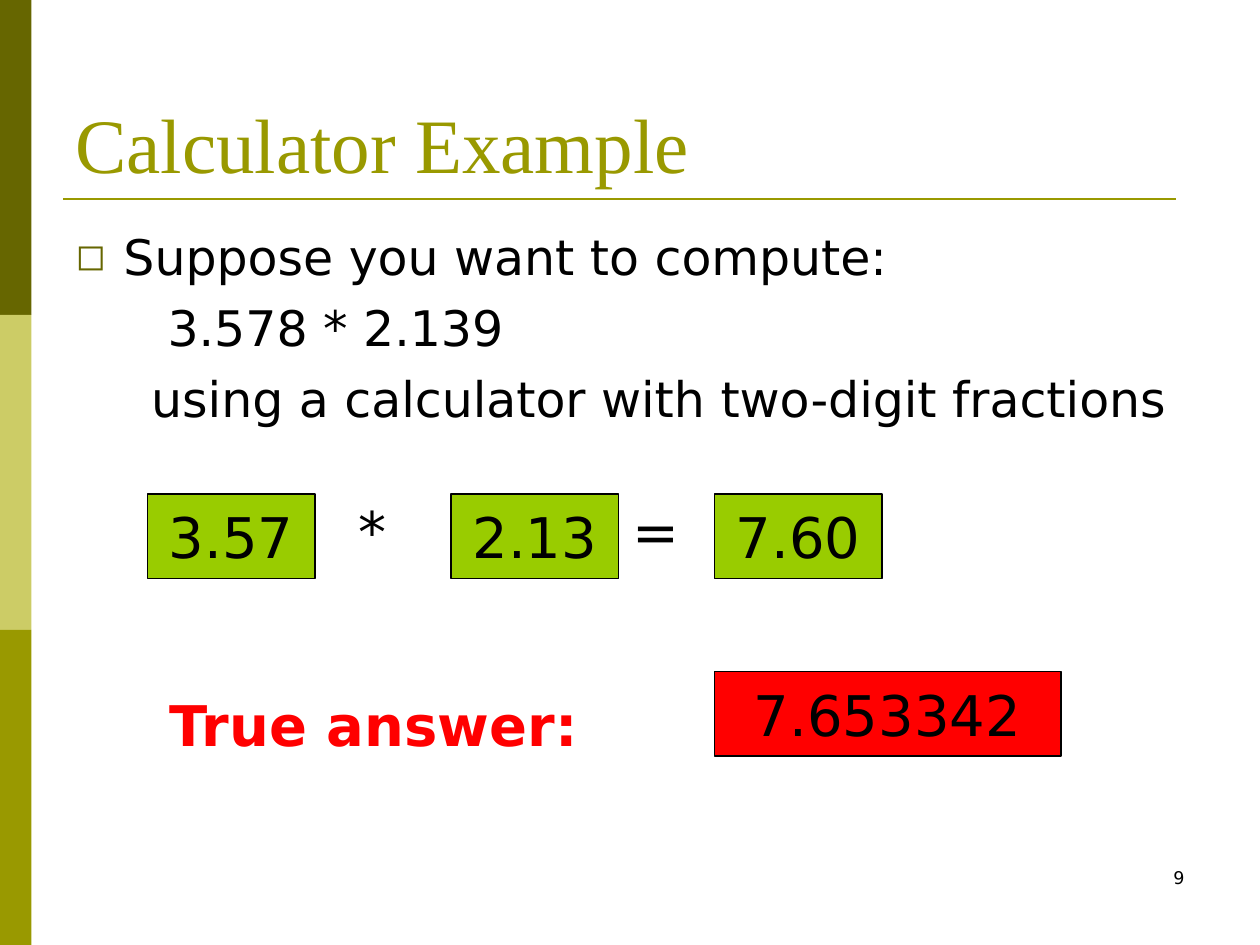
"""Build the calculator example slide on rounding with two-digit fractions."""
from dataclasses import dataclass
from typing import Optional

from lxml.etree import SubElement
from pptx import Presentation
from pptx.dml.color import RGBColor
from pptx.enum.shapes import MSO_CONNECTOR as Connector, MSO_SHAPE as Preset
from pptx.enum.text import MSO_ANCHOR as Anchor, MSO_AUTO_SIZE as AutoSize, PP_ALIGN as Align
from pptx.oxml.ns import qn
from pptx.util import Inches, Pt

DARK_OLIVE = RGBColor(0x66, 0x66, 0x00)
PALE_OLIVE = RGBColor(0xCC, 0xCC, 0x66)
OLIVE = RGBColor(0x99, 0x99, 0x00)
GREEN = RGBColor(0x99, 0xCC, 0x00)
RED = RGBColor(0xFF, 0x00, 0x00)
BLACK = RGBColor(0x00, 0x00, 0x00)
SANS = "DejaVu Sans"
SERIF = "Times New Roman"


@dataclass
class Term:
    text: str
    left: float
    top: float
    width: float
    height: float = 0.67
    fill: Optional[RGBColor] = GREEN
    preset: Preset = Preset.RECTANGLE


@dataclass
class BodyLine:
    text: str
    margin: float
    bulleted: bool = False


def set_font(paragraph, size: float, color: RGBColor, name: str = SANS, bold: bool = False) -> None:
    font = paragraph.font
    font.size, font.name, font.bold = Pt(size), name, bold
    font.color.rgb = color


def set_bullet(paragraph, line: BodyLine) -> None:
    properties = paragraph._p.get_or_add_pPr()
    properties.set("marL", str(Inches(line.margin)))
    properties.set("indent", str(Inches(-0.38 if line.bulleted else 0)))
    if not line.bulleted:
        SubElement(properties, qn("a:buNone"))
        return
    color = SubElement(properties, qn("a:buClr"))
    SubElement(color, qn("a:srgbClr"), val=str(DARK_OLIVE))
    SubElement(properties, qn("a:buSzPct"), val="75000")
    SubElement(properties, qn("a:buFont"), typeface=SANS)
    SubElement(properties, qn("a:buChar"), char="◻")


def place(shape, left: float, top: float, width: float, height: float) -> None:
    shape.left, shape.top = Inches(left), Inches(top)
    shape.width, shape.height = Inches(width), Inches(height)


def add_band(slide, top: float, height: float, color: RGBColor) -> None:
    band = slide.shapes.add_shape(Preset.RECTANGLE, 0, Inches(top), Inches(0.25), Inches(height))
    band.shadow.inherit = False
    band.fill.solid()
    band.fill.fore_color.rgb = color
    band.line.fill.background()


def add_rule(slide) -> None:
    rule = slide.shapes.add_connector(
        Connector.STRAIGHT, Inches(0.5), Inches(1.58), Inches(9.33), Inches(1.58))
    rule.line.color.rgb = OLIVE
    rule.line.width = Pt(1.5)
    SubElement(rule._element.spPr, qn("a:effectLst"))


def fill_title(title) -> None:
    place(title, 0.5, 0.3, 9, 1.25)
    frame = title.text_frame
    frame.text = "Calculator Example"
    frame.auto_size = AutoSize.NONE
    frame.vertical_anchor = Anchor.BOTTOM
    heading = frame.paragraphs[0]
    heading.alignment = Align.LEFT
    set_font(heading, 44, OLIVE, SERIF)


def fill_body(body, lines: list[BodyLine]) -> None:
    place(body, 0.5, 1.75, 9, 2)
    frame = body.text_frame
    frame.text = "\n".join(line.text for line in lines)
    frame.auto_size = AutoSize.NONE
    for paragraph, line in zip(frame.paragraphs, lines):
        paragraph.space_before = Pt(7)
        set_bullet(paragraph, line)
        set_font(paragraph, 28, BLACK)


def add_term(slide, term: Term) -> None:
    shape = slide.shapes.add_shape(
        term.preset, Inches(term.left), Inches(term.top), Inches(term.width), Inches(term.height))
    shape.shadow.inherit = False
    if term.fill is None:
        shape.fill.background()
        shape.line.fill.background()
    else:
        shape.fill.solid()
        shape.fill.fore_color.rgb = term.fill
        shape.line.color.rgb = BLACK
        shape.line.width = Pt(0.75)
    frame = shape.text_frame
    frame.text = term.text
    frame.word_wrap = False
    frame.vertical_anchor = Anchor.MIDDLE
    value = frame.paragraphs[0]
    value.alignment = Align.CENTER
    set_font(value, 32, BLACK)


def add_label(slide, text: str, left: float, top: float, width: float, height: float):
    label = slide.shapes.add_textbox(Inches(left), Inches(top), Inches(width), Inches(height))
    label.text_frame.word_wrap = True
    label.text_frame.text = text
    return label.text_frame.paragraphs[0]


def main() -> None:
    deck = Presentation()
    deck.slide_width, deck.slide_height = Inches(10), Inches(7.5)
    slide = deck.slides.add_slide(deck.slide_layouts[1])

    for row, color in enumerate((DARK_OLIVE, PALE_OLIVE, OLIVE)):
        add_band(slide, row * 2.5, 2.5, color)
    add_rule(slide)

    fill_title(slide.shapes.title)
    fill_body(slide.placeholders[1], [
        BodyLine("Suppose you want to compute:", 0.38, bulleted=True),
        BodyLine("3.578 * 2.139", 0.73),
        BodyLine("using a calculator with two-digit fractions", 0.6),
    ])

    equation_top = 3.92
    for text, left in (("3.57", 1.17), ("2.13", 3.58), ("7.60", 5.67)):
        add_term(slide, Term(text, left, equation_top, 1.33))
    for text, left in (("*", 2.58), ("=", 4.83)):
        add_term(slide, Term(text, left, equation_top, 0.75, 0.58, None, Preset.OVAL))
    add_term(slide, Term("7.653342", 5.67, 5.33, 2.75, fill=RED))

    true_answer = add_label(slide, "True answer:", 1.25, 5.43, 4.25, 0.64)
    true_answer.space_before = Pt(20)
    set_font(true_answer, 32, RED, bold=True)

    page_number = add_label(slide, "9", 7.17, 6.83, 2.33, 0.5)
    page_number.alignment = Align.RIGHT
    set_font(page_number, 10, BLACK)

    deck.save("out.pptx")


if __name__ == "__main__":
    main()
